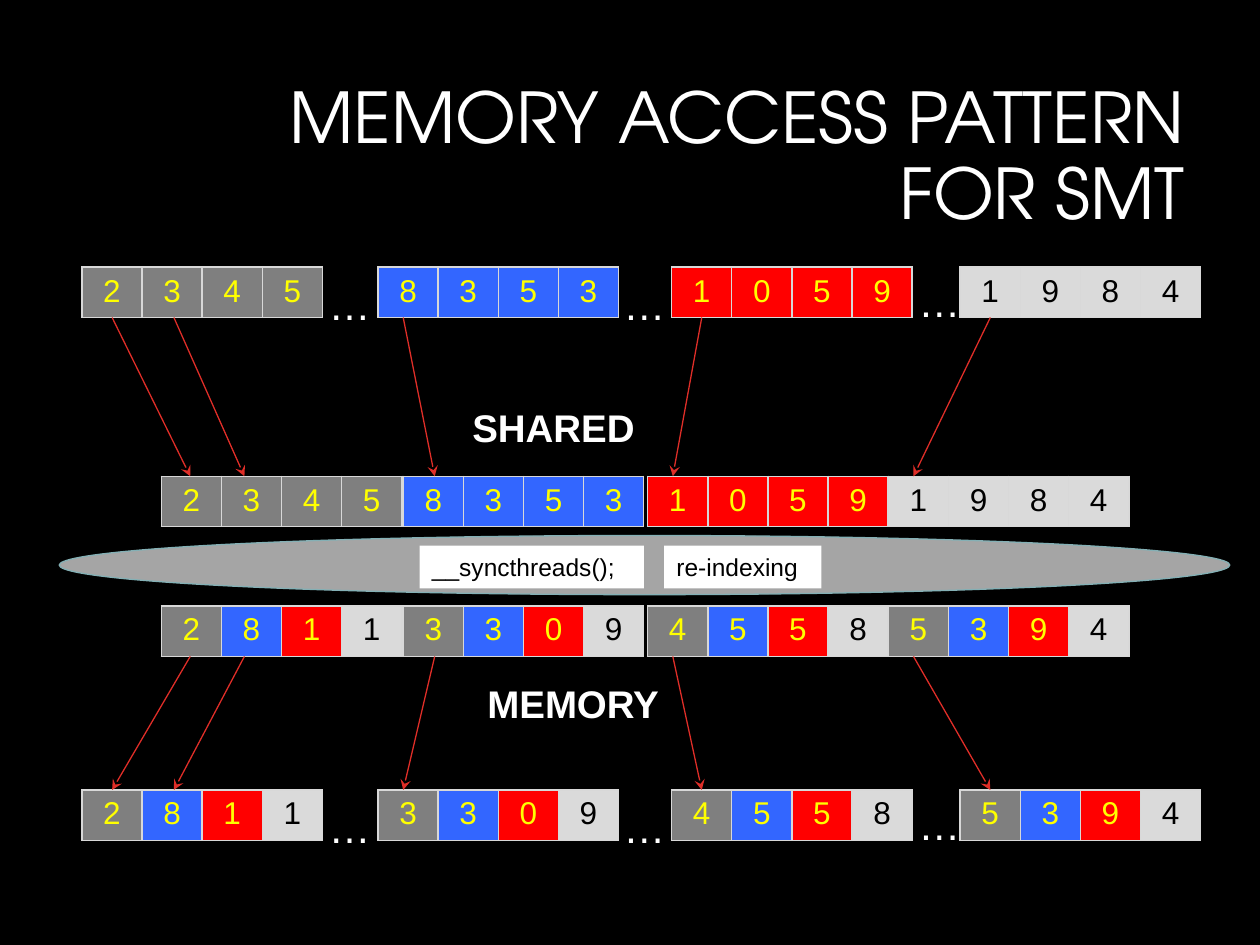
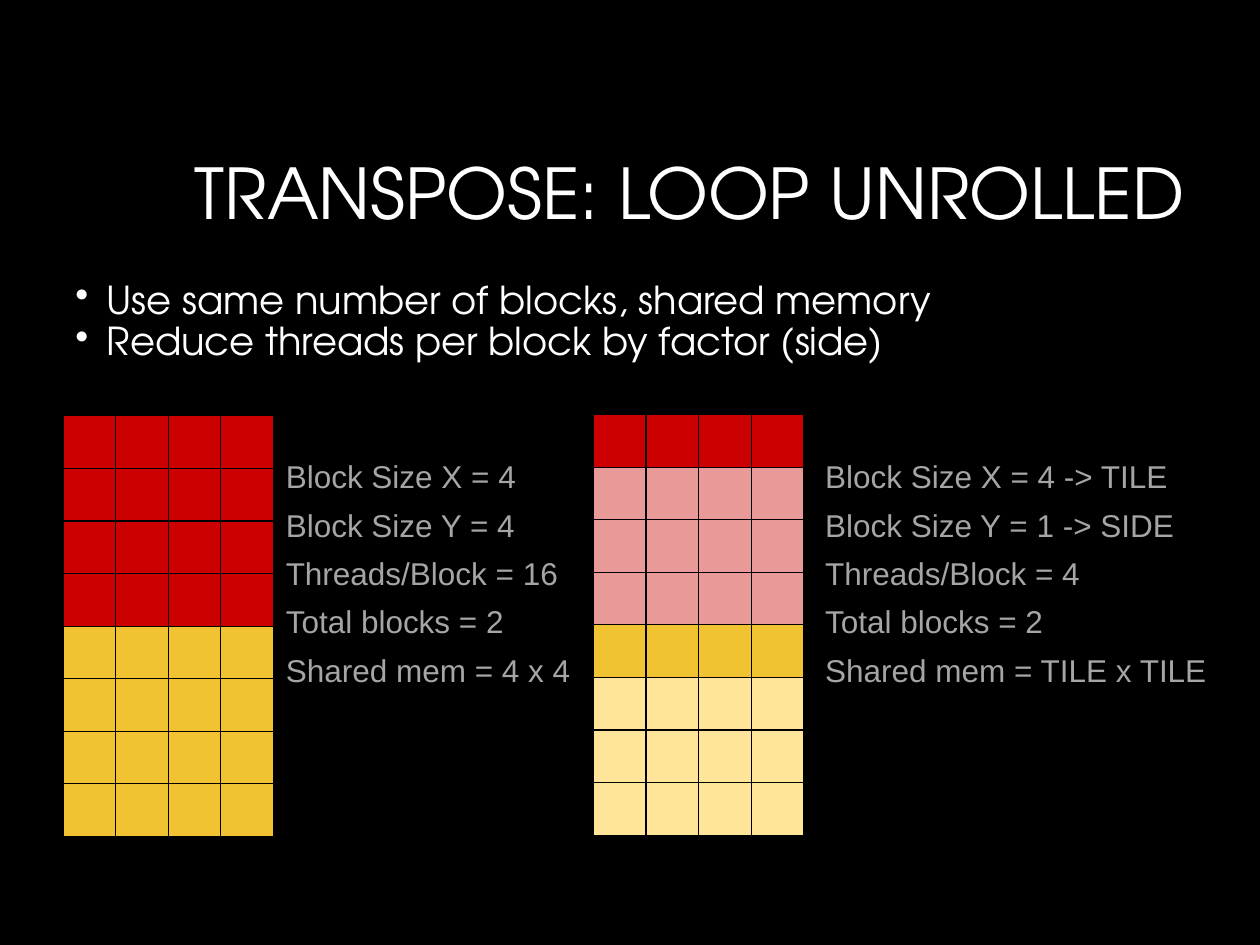
from pptx import Presentation, util as u
from pptx.dml.color import RGBColor
from pptx.enum import shapes, text
from pptx.oxml import parse_xml
from pptx.oxml.ns import nsdecls

Inches, Pt = u.Inches, u.Pt

COLOURS = {
    "background": "000000", "white": "FFFFFF", "black": "000000", "digit": "FFFF00",
    "gray": "7F7F7F", "blue": "3366FF", "red": "FF0000", "light": "DADADA",
    "cell_border": "D8D8D8", "arrow": "DF2E28", "ellipse": "A5A5A5",
    "ellipse_line": "84B0B5", "note": "A5A5A5",
    "deep_red": "CC0000", "pale_red": "EA9999", "gold": "F1C232", "pale_gold": "FFE599",
}
TITLE_FONT, BODY_FONT = "TeX Gyre Adventor", "Arial"

# Memory access slide
ACCESS_TITLE = ["MEMORY ACCESS PATTERN", "FOR SMT"]
BLOCKS = [("2345", "gray"), ("8353", "blue"), ("1059", "red"), ("1984", "light")]
GLOBAL_LEFTS = [0.65, 3, 5.33, 7.62]
SHARED_LEFTS = [1.28, 3.2, 5.14, 7.05]
GLOBAL_TOPS, SHARED_TOPS = (2.12, 6.27), (3.78, 4.81)
BLOCK_WIDTH, BLOCK_HEIGHT = 1.91, 0.4
ELLIPSIS_SPOTS = [(2.51, 0.04), (4.85, 0.04), (7.19, 0.02)]  # left, drop below the row
ARROW_ENDS = [(0.89, 1.51), (1.38, 1.94), (3.2, 3.45), (5.57, 5.34), (7.86, 7.25)]
SYNC_ELLIPSE = (0.47, 4.25, 9.29, 0.47)
SYNC_LABELS = [("__syncthreads();", (3.33, 4.33, 1.78, 0.34)),
               ("re-indexing", (5.27, 4.33, 1.25, 0.34))]
MEMORY_LABELS = [("SHARED", (3.65, 3.16, 1.6, 0.47)), ("MEMORY", (3.77, 5.35, 1.94, 0.47))]

# Loop unrolling slide
UNROLLED_TITLE = ["TRANSPOSE: LOOP UNROLLED"]
BULLETS = ["Use same number of blocks, shared memory",
           "Reduce threads per block by factor (side)"]
GRID_CELL, GRID_COLUMNS = 1.67 / 4, 4
LAYOUTS = [
    {"grid_at": (0.5, 3.3),
     "rows": ["deep_red"] * 4 + ["gold"] * 4,
     "notes_at": (2.17, 3.53, 2.66, 2.05),
     "notes": ["Block Size X = 4", "Block Size Y = 4", "Threads/Block = 16",
               "Total blocks = 2", "Shared mem = 4 x 4"]},
    {"grid_at": (4.71, 3.29),
     "rows": ["deep_red"] + ["pale_red"] * 3 + ["gold"] + ["pale_gold"] * 3,
     "notes_at": (6.45, 3.53, 3.39, 2.29),
     "notes": ["Block Size X = 4 -> TILE", "Block Size Y = 1 -> SIDE", "Threads/Block = 4",
               "Total blocks = 2", "Shared mem = TILE x TILE"]},
]


def colour(name):
    return RGBColor.from_string(COLOURS[name])


def box(values):
    return [Inches(value) for value in values]


def add_run(paragraph, content, size, ink="white", font=BODY_FONT, bold=False):
    run = paragraph.add_run()
    run.text = content
    run.font.size, run.font.name, run.font.bold = Pt(size), font, bold
    run.font.color.rgb = colour(ink)


def add_text(slide, at, lines, size, ink="white", font=BODY_FONT, bold=False,
             inset=0.05, before=0, spacing=None, bullet=False, fill=None):
    """Add a text box with one paragraph per line."""
    shape = slide.shapes.add_textbox(*box(at))
    if fill:
        shape.fill.solid()
        shape.fill.fore_color.rgb = colour(fill)
    frame = shape.text_frame
    frame.word_wrap = True
    frame.margin_top = frame.margin_bottom = Inches(inset)
    for index, line in enumerate(lines):
        paragraph = frame.add_paragraph() if index else frame.paragraphs[0]
        if bullet:
            properties = paragraph._p.get_or_add_pPr()
            properties.set("marL", str(Inches(0.25)))
            properties.set("indent", str(Inches(-0.25)))
            properties.append(parse_xml(f'<a:buChar {nsdecls("a")} char="•"/>'))
        if index and before:
            paragraph.space_before = Pt(before)
        if spacing:
            paragraph.line_spacing = spacing
        add_run(paragraph, line, size, ink, font, bold)


def add_slide(presentation, title_lines):
    """Add a black slide with the right-aligned title."""
    slide = presentation.slides.add_slide(presentation.slide_layouts[6])
    slide.background.fill.solid()
    slide.background.fill.fore_color.rgb = colour("background")
    frame = slide.shapes.add_textbox(*box((0.5, 0.3, 9, 1.66))).text_frame
    frame.word_wrap = True
    frame.vertical_anchor = text.MSO_ANCHOR.BOTTOM
    frame.margin_top = frame.margin_bottom = Inches(0.1)
    paragraph = frame.paragraphs[0]
    paragraph.alignment = text.PP_ALIGN.RIGHT
    paragraph.line_spacing = 0.9
    for index, line in enumerate(title_lines):
        if index:
            paragraph.add_line_break()
        add_run(paragraph, line, 40, font=TITLE_FONT)
    return slide


def add_grid(slide, left, top, width, height, rows, border, border_width):
    """Add a table whose cells are (content, fill name) pairs."""
    frame = slide.shapes.add_table(len(rows), len(rows[0]), *box((left, top, width, height)))
    table = frame.table
    table.first_row = table.horz_banding = False
    for row_index, row in enumerate(rows):
        for column_index, (content, fill) in enumerate(row):
            cell = table.cell(row_index, column_index)
            properties = cell._tc.get_or_add_tcPr()
            for side in "LRTB":
                properties.append(parse_xml(
                    f'<a:ln{side} {nsdecls("a")} w="{Pt(border_width)}"><a:solidFill>'
                    f'<a:srgbClr val="{COLOURS[border]}"/></a:solidFill></a:ln{side}>'))
            cell.fill.solid()
            cell.fill.fore_color.rgb = colour(fill)
            if content:
                paragraph = cell.text_frame.paragraphs[0]
                paragraph.alignment = text.PP_ALIGN.CENTER
                add_run(paragraph, content, 18, "black" if fill == "light" else "digit")


def add_arrow(slide, start, end):
    connector = slide.shapes.add_connector(shapes.MSO_CONNECTOR.STRAIGHT, *box(start + end))
    connector.line.color.rgb = colour("arrow")
    connector.line.width = Pt(0.75)
    connector.line._get_or_add_ln().append(
        parse_xml(f'<a:tailEnd {nsdecls("a")} type="stealth"/>'))
    connector._element.spPr.append(parse_xml(f'<a:effectLst {nsdecls("a")}/>'))


def build_access_slide(presentation):
    slide = add_slide(presentation, ACCESS_TITLE)
    ellipse = slide.shapes.add_shape(shapes.MSO_SHAPE.OVAL, *box(SYNC_ELLIPSE))
    ellipse.shadow.inherit = False
    ellipse.fill.solid()
    ellipse.fill.fore_color.rgb = colour("ellipse")
    ellipse.line.color.rgb = colour("ellipse_line")
    ellipse.line.width = Pt(0.75)

    loaded = [[(digit, fill) for digit in digits] for digits, fill in BLOCKS]
    transposed = list(zip(*loaded))
    for blocks, global_top, shared_top in zip((loaded, transposed), GLOBAL_TOPS, SHARED_TOPS):
        for lefts, top in ((GLOBAL_LEFTS, global_top), (SHARED_LEFTS, shared_top)):
            for left, cells in zip(lefts, blocks):
                add_grid(slide, left, top, BLOCK_WIDTH, BLOCK_HEIGHT, [cells], "cell_border", 1)
        for left, drop in ELLIPSIS_SPOTS:
            add_text(slide, (left, global_top + drop, 0.44, 0.5), ["…"], 24)

    for global_x, shared_x in ARROW_ENDS:
        add_arrow(slide, (global_x, GLOBAL_TOPS[0] + BLOCK_HEIGHT), (shared_x, SHARED_TOPS[0]))
        add_arrow(slide, (shared_x, SHARED_TOPS[1] + BLOCK_HEIGHT), (global_x, GLOBAL_TOPS[1]))
    for label, at in SYNC_LABELS:
        add_text(slide, at, [label], 14, "black", fill="white")
    for label, at in MEMORY_LABELS:
        add_text(slide, at, [label], 22, bold=True)


def build_unrolled_slide(presentation):
    slide = add_slide(presentation, UNROLLED_TITLE)
    add_text(slide, (0.5, 2.13, 9, 5.05), BULLETS, 22, font=TITLE_FONT,
             inset=0.1, spacing=0.9, bullet=True)
    for layout in LAYOUTS:
        rows = [[("", fill)] * GRID_COLUMNS for fill in layout["rows"]]
        add_grid(slide, *layout["grid_at"], GRID_CELL * GRID_COLUMNS, GRID_CELL * len(rows),
                 rows, "black", 0.75)
        add_text(slide, layout["notes_at"], layout["notes"], 18, "note", inset=0.1, before=6)


def main():
    presentation = Presentation()
    presentation.slide_width, presentation.slide_height = Inches(10), Inches(7.5)
    build_access_slide(presentation)
    build_unrolled_slide(presentation)
    presentation.save("out.pptx")


if __name__ == "__main__":
    main()
